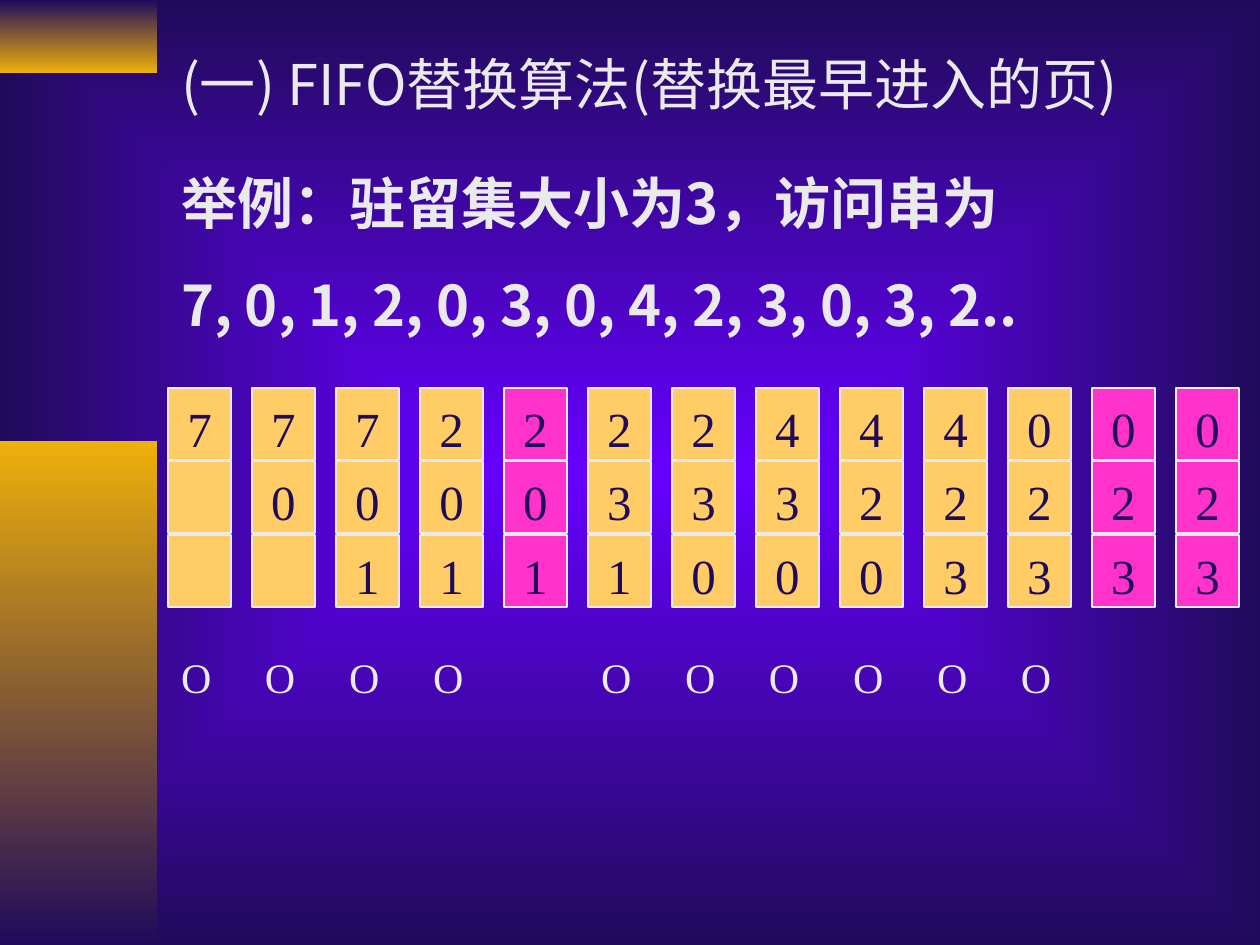
from lxml import etree
from pptx import Presentation
from pptx import util as u
from pptx.dml.color import RGBColor
from pptx.enum import shapes, text
from pptx.oxml.ns import qn

TITLE = "(一) FIFO替换算法(替换最早进入的页)"
EXAMPLE = ["举例：驻留集大小为3，访问串为",
           "7, 0, 1, 2, 0, 3, 0, 4, 2, 3, 0, 3, 2.."]
# Pages resident after each access, and the accesses that cause no fault
FRAMES = ["7", "70", "701", "201", "201", "231", "230",
          "430", "420", "423", "023", "023", "023"]
HITS = {4, 11, 12}

SANS, SERIF = "Noto Sans CJK SC", "Times New Roman"
LIGHT, NAVY, VIOLET, GOLD = "EAEAEA", "200B5B", "6600FF", "EEB00B"
FAULT_FILL, HIT_FILL = "FFCC66", "FF33CC"

LEFT, CONTENT_W = 168, 1092
INSET, TOP_INSET = 13, 11
COLUMN_STEP, CELL_W, CELL_H = 84, 63, 72
CELLS_TOP, ROWS_TWO_STEPS = 388, 147
BARS = [(0, 73, NAVY, GOLD), (441, 504, GOLD, NAVY)]
BAR_W = 157


def px(n):
    return int(n * u.Inches(1) / 126)


def box(*lengths):
    return [px(n) for n in lengths]


def rgb(value):
    return RGBColor.from_string(value)


def two_stops(fill, first, last):
    fill.gradient()
    for stop, position, color in zip(fill.gradient_stops, (0, 1), (first, last)):
        stop.position = position
        stop.color.rgb = rgb(color)


def radiate_background(slide):
    """Shade the background in rectangles outwards from its centre."""
    two_stops(slide.background.fill, VIOLET, NAVY)
    gradient = slide.element.find(".//" + qn("a:gradFill"))
    gradient.remove(gradient.find(qn("a:lin")))
    rings = etree.SubElement(gradient, qn("a:path"), {"path": "rect"})
    etree.SubElement(rings, qn("a:fillToRect"), dict.fromkeys("ltrb", "50000"))


def write(shape, content, size, font, color, align=text.PP_ALIGN.LEFT,
          bold=False, gap=0):
    frame = shape.text_frame
    frame.text = content
    frame.word_wrap = True
    frame.auto_size = text.MSO_AUTO_SIZE.NONE
    frame.vertical_anchor = text.MSO_ANCHOR.TOP
    frame.margin_left = frame.margin_right = px(INSET)
    frame.margin_top, frame.margin_bottom = px(TOP_INSET), 0
    for i, paragraph in enumerate(frame.paragraphs):
        paragraph.alignment = align
        paragraph.line_spacing = u.Pt(round(size * 1.2, 1))
        paragraph.space_before = u.Pt(gap if i else 0)
        for run in paragraph.runs:
            run.font.size, run.font.name, run.font.bold = u.Pt(size), font, bold
            run.font.color.rgb = rgb(color)
            etree.SubElement(run.font._element, qn("a:ea"), typeface=font)


def add_bars(slide):
    for top, height, first, last in BARS:
        bar = slide.shapes.add_shape(shapes.MSO_SHAPE.RECTANGLE,
                                     *box(0, top, BAR_W, height))
        bar.shadow.inherit = False
        bar.line.fill.background()
        two_stops(bar.fill, first, last)
        bar.fill.gradient_angle = 270


def add_frames(slide):
    for column, pages in enumerate(FRAMES):
        group = slide.shapes.add_group_shape()
        for row, page in enumerate(pages.ljust(3)):
            cell = group.shapes.add_shape(
                shapes.MSO_SHAPE.RECTANGLE,
                *box(LEFT + column * COLUMN_STEP,
                     CELLS_TOP + row * ROWS_TWO_STEPS // 2, CELL_W, CELL_H))
            cell.shadow.inherit = False
            cell.fill.solid()
            cell.fill.fore_color.rgb = rgb(HIT_FILL if column in HITS else FAULT_FILL)
            cell.line.color.rgb = rgb(LIGHT)
            cell.line.width = u.Pt(0.75)
            if page.strip():
                write(cell, page, 28, SERIF, NAVY, text.PP_ALIGN.CENTER)


def add_fault_marks(slide):
    """Mark each faulting column with an O, set on tab stops."""
    faults = [c for c in range(len(FRAMES)) if c not in HITS]
    marks = slide.shapes.add_textbox(*box(LEFT, 640, CONTENT_W, 63))
    write(marks, "\t".join("O" for _ in faults), 24, SERIF, LIGHT)
    properties = marks.text_frame.paragraphs[0]._p.get_or_add_pPr()
    stops = etree.SubElement(properties, qn("a:tabLst"))
    for column in faults[1:]:
        etree.SubElement(stops, qn("a:tab"), pos=str(px(column * COLUMN_STEP)), algn="l")


def main():
    deck = Presentation()
    deck.slide_width, deck.slide_height = box(1260, 945)
    slide = deck.slides.add_slide(deck.slide_layouts[5])
    radiate_background(slide)
    add_bars(slide)

    title = slide.shapes.title
    title.left, title.top, title.width, title.height = box(LEFT, 38, CONTENT_W, 80)
    write(title, TITLE, 32, SANS, LIGHT)
    example = slide.shapes.add_textbox(*box(LEFT, 157, CONTENT_W, 183))
    write(example, "\n".join(EXAMPLE), 32, SANS, LIGHT, bold=True, gap=20)

    add_frames(slide)
    add_fault_marks(slide)
    deck.save("out.pptx")


if __name__ == "__main__":
    main()
